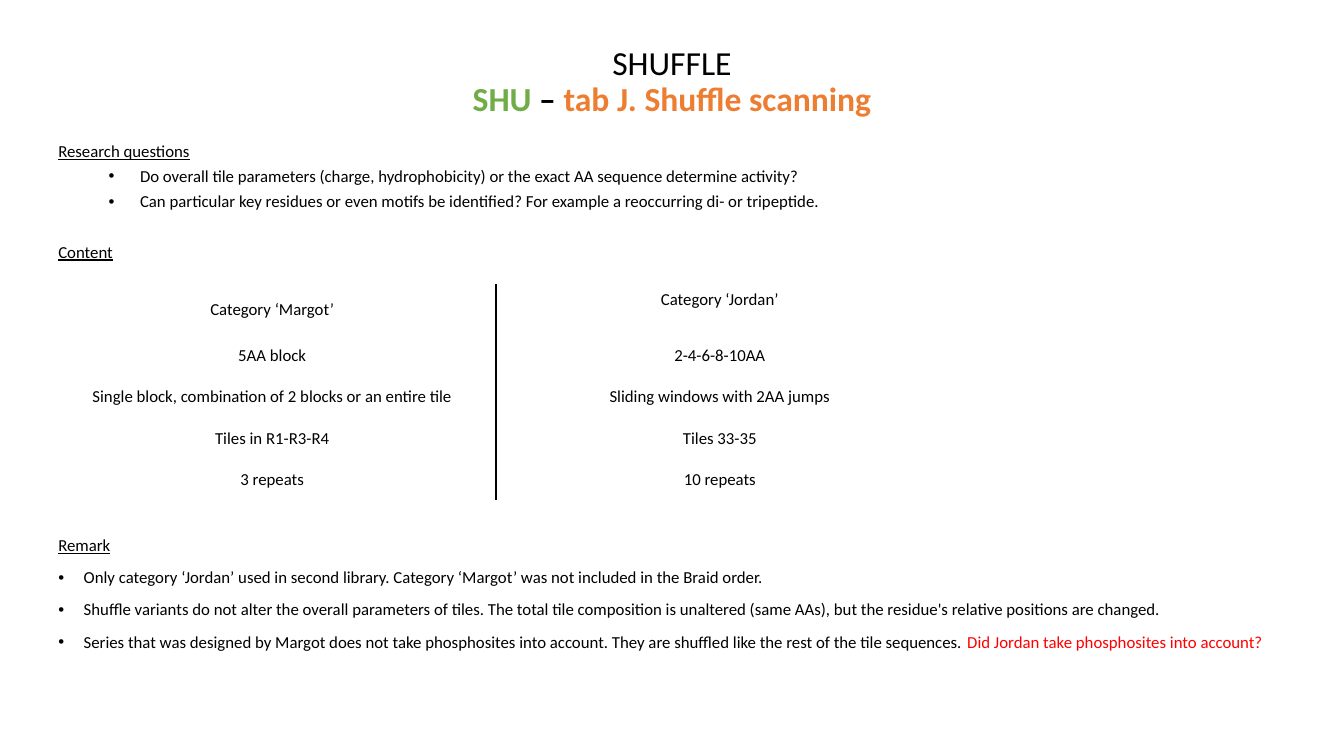
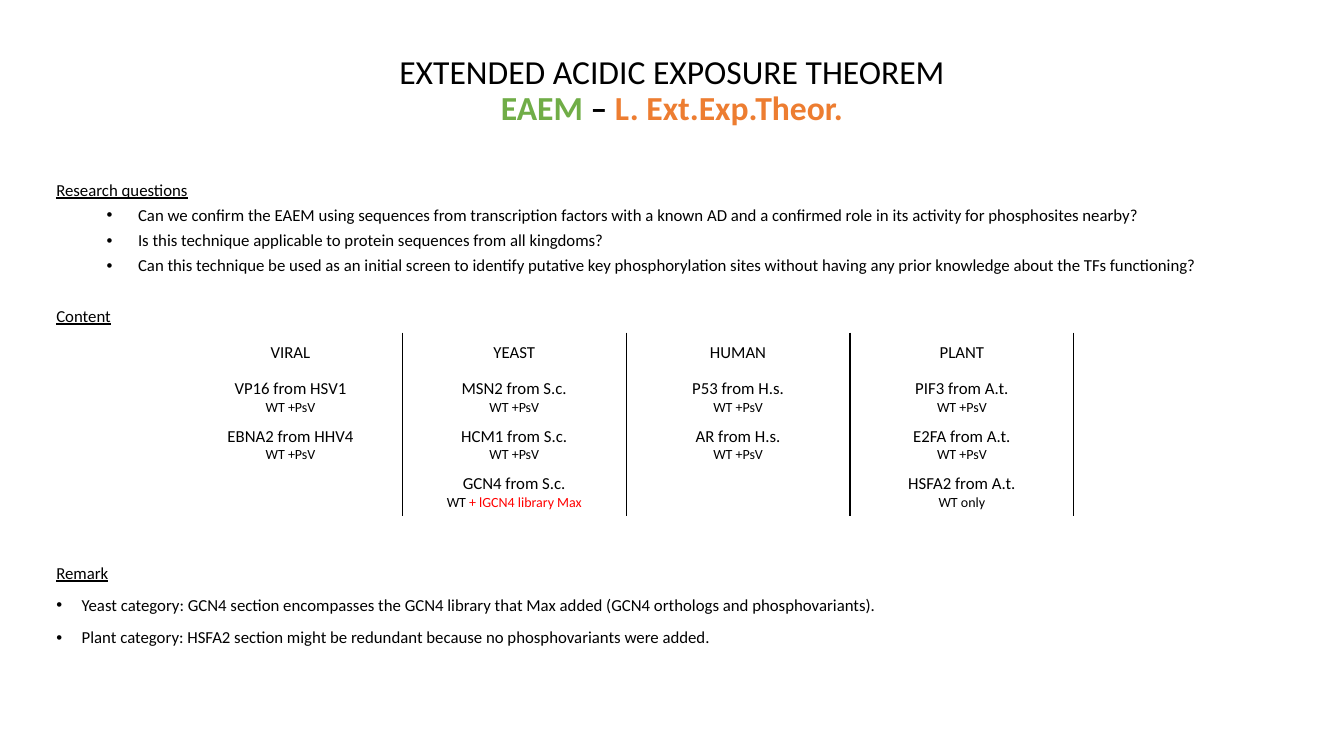
from pptx import Presentation
from pptx.dml.color import RGBColor
from pptx.enum.text import MSO_ANCHOR, PP_ALIGN
from pptx.oxml.ns import qn
from pptx.util import Cm, Pt
from lxml import etree

LEFT, CENTER = PP_ALIGN.LEFT, PP_ALIGN.CENTER
TOP, MIDDLE = MSO_ANCHOR.TOP, MSO_ANCHOR.MIDDLE

FONT = "Calibri"
BLACK, GREEN, ORANGE, RED = "000000", "70AD47", "ED7D31", "FF0000"
PLAIN_TABLE_STYLE = "{2D5ABB26-0587-4C30-8999-92F81FD0307C}"
LINE_SPACING = 0.9

# Left margin and hanging indent of each bullet level, in centimetres
QUESTION_BULLET = (2.06, 0.79)
REMARK_BULLET = (0.64, 0.64)


def rgb(value):
    return RGBColor.from_string(value)


def set_bullet(paragraph, margin, hanging):
    properties = paragraph._p.get_or_add_pPr()
    properties.set("marL", str(Cm(margin)))
    properties.set("indent", str(-Cm(hanging)))
    etree.SubElement(properties, qn("a:buFont")).set("typeface", "Arial")
    etree.SubElement(properties, qn("a:buChar")).set("char", "•")


def write(frame, *runs, size=12, bold=False, underline=False, align=LEFT,
          before=0, line=LINE_SPACING, bullet=None):
    """Add one paragraph; a run is a text or a (text, colour) pair."""
    paragraph = frame.paragraphs[-1]
    if paragraph.runs:
        paragraph = frame.add_paragraph()
    paragraph.alignment = align
    paragraph.line_spacing = line
    paragraph.space_before = Pt(before)
    if bullet:
        set_bullet(paragraph, *bullet)
    for item in runs:
        text, color = (item, BLACK) if isinstance(item, str) else item
        run = paragraph.add_run()
        run.text = text
        font = run.font
        font.name, font.size = FONT, Pt(size)
        font.bold, font.underline = bold, underline
        font.color.rgb = rgb(color)


def add_frame(slide, box, anchor=TOP):
    """Add a wrapping text box at (left, top, width, height) in centimetres."""
    frame = slide.shapes.add_textbox(*map(Cm, box)).text_frame
    frame.word_wrap = True
    frame.vertical_anchor = anchor
    return frame


def add_title(slide, box, title, code, tab):
    frame = add_frame(slide, box, MIDDLE)
    write(frame, title, size=24, align=CENTER)
    write(frame, (code, GREEN), " – ", (tab, ORANGE),
          size=24, bold=True, align=CENTER)


def add_questions(slide, box, questions):
    """List the research questions and close with the heading of the table."""
    frame = add_frame(slide, box)
    write(frame, "Research questions", underline=True)
    for question in questions:
        write(frame, question, before=5, bullet=QUESTION_BULLET)
    write(frame, "Content", underline=True, before=23)


def add_remarks(slide, box, remarks):
    frame = add_frame(slide, box)
    write(frame, "Remark", underline=True)
    for runs in remarks:
        write(frame, *runs, before=10, bullet=REMARK_BULLET)


def add_border(cell, side):
    line = etree.SubElement(cell._tc.get_or_add_tcPr(), qn(f"a:{side}"))
    line.set("w", str(Pt(1)))
    fill = etree.SubElement(line, qn("a:solidFill"))
    etree.SubElement(fill, qn("a:srgbClr")).set("val", BLACK)


def add_columns(slide, left, top, column_width, row_heights, columns,
                closing_line=False):
    """Draw columns of centred cells, each cell a list of lines of runs.

    The first line of a cell is set larger than those below it.
    """
    count = len(columns)
    table = slide.shapes.add_table(
        len(row_heights), count, Cm(left), Cm(top),
        Cm(column_width * count), Cm(sum(row_heights))).table
    table.first_row = table.horz_banding = False
    table._tbl.tblPr.find(qn("a:tableStyleId")).text = PLAIN_TABLE_STYLE
    for row, height in zip(table.rows, row_heights):
        row.height = Cm(height)
    for column_index, column in enumerate(columns):
        table.columns[column_index].width = Cm(column_width)
        for row_index in range(len(row_heights)):
            cell = table.cell(row_index, column_index)
            cell.vertical_anchor = MIDDLE
            if column_index > 0:
                add_border(cell, "lnL")
            if column_index < count - 1 or closing_line:
                add_border(cell, "lnR")
            cell.fill.background()
            lines = column[row_index] if row_index < len(column) else []
            for line_index, runs in enumerate(lines):
                write(cell.text_frame, *runs, size=10 if line_index else 12,
                      align=CENTER, line=1.0)
    return table


def protein(name, *note):
    """Return a cell with a protein name above a smaller note."""
    return [[name], note or ["WT +PsV"]]


def add_shuffle_slide(presentation):
    slide = presentation.slides.add_slide(presentation.slide_layouts[6])
    add_title(slide, (2.33, 0.25, 29.21, 3.68),
              "SHUFFLE", "SHU", "tab J. Shuffle scanning")
    left, width = 1.22, 32.36
    add_questions(slide, (left, 3.48, width, 3.3), [
        "Do overall tile parameters (charge, hydrophobicity) or the exact AA "
        "sequence determine activity?",
        "Can particular key residues or even motifs be identified? "
        "For example a reoccurring di- or tripeptide.",
    ])
    categories = [
        ["Category ‘Margot’", "5AA block",
         "Single block, combination of 2 blocks or an entire tile",
         "Tiles in R1-R3-R4", "3 repeats"],
        ["Category ‘Jordan’", "2-4-6-8-10AA",
         "Sliding windows with 2AA jumps", "Tiles 33-35", "10 repeats"],
    ]
    table = add_columns(
        slide, left, 7.16, 11.28, [1.29] + [1.04] * 4,
        [[[[text]] for text in category] for category in categories])
    table.cell(0, 1).margin_bottom = Cm(0.64)
    add_remarks(slide, (left, 13.41, width, 3.4), [
        ["Only category ‘Jordan’ used in second library. "
         "Category ‘Margot’ was not included in the Braid order."],
        ["Shuffle variants do not alter the overall parameters of tiles. "
         "The total tile composition is unaltered (same AAs), but the "
         "residue's relative positions are changed."],
        ["Series that was designed by Margot does not take phosphosites into "
         "account. They are shuffled like the rest of the tile sequences. ",
         ("Did Jordan take phosphosites into account?", RED)],
    ])


def add_theorem_slide(presentation):
    slide = presentation.slides.add_slide(presentation.slide_layouts[6])
    add_title(slide, (2.33, 1.02, 29.21, 2.59),
              "EXTENDED ACIDIC EXPOSURE THEOREM", "EAEM", "L. Ext.Exp.Theor.")
    left, width = 1.17, 31.8
    add_questions(slide, (left, 4.46, width, 3.9), [
        "Can we confirm the EAEM using sequences from transcription factors "
        "with a known AD and a confirmed role in its activity for "
        "phosphosites nearby?",
        "Is this technique applicable to protein sequences from all kingdoms?",
        "Can this technique be used as an initial screen to identify putative "
        "key phosphorylation sites without having any prior knowledge about "
        "the TFs functioning?",
    ])
    kingdoms = [
        [[["VIRAL"]], protein("VP16 from HSV1"), protein("EBNA2 from HHV4")],
        [[["YEAST"]], protein("MSN2 from S.c."), protein("HCM1 from S.c."),
         protein("GCN4 from S.c.", "WT ", ("+ lGCN4 library Max", RED))],
        [[["HUMAN"]], protein("P53 from H.s."), protein("AR from H.s.")],
        [[["PLANT"]], protein("PIF3 from A.t."), protein("E2FA from A.t."),
         protein("HSFA2 from A.t.", "WT only")],
    ]
    add_columns(slide, 4.5, 8.38, 5.64, [1.03] + [1.2] * 3, kingdoms,
                closing_line=True)
    add_remarks(slide, (left, 14.11, width, 2.6), [
        ["Yeast category: GCN4 section encompasses the GCN4 library that Max "
         "added (GCN4 orthologs and phosphovariants)."],
        ["Plant category: HSFA2 section might be redundant because no "
         "phosphovariants were added."],
    ])


def main():
    presentation = Presentation()
    presentation.slide_width, presentation.slide_height = Cm(33.87), Cm(19.05)
    add_shuffle_slide(presentation)
    add_theorem_slide(presentation)
    presentation.save("out.pptx")


if __name__ == "__main__":
    main()
